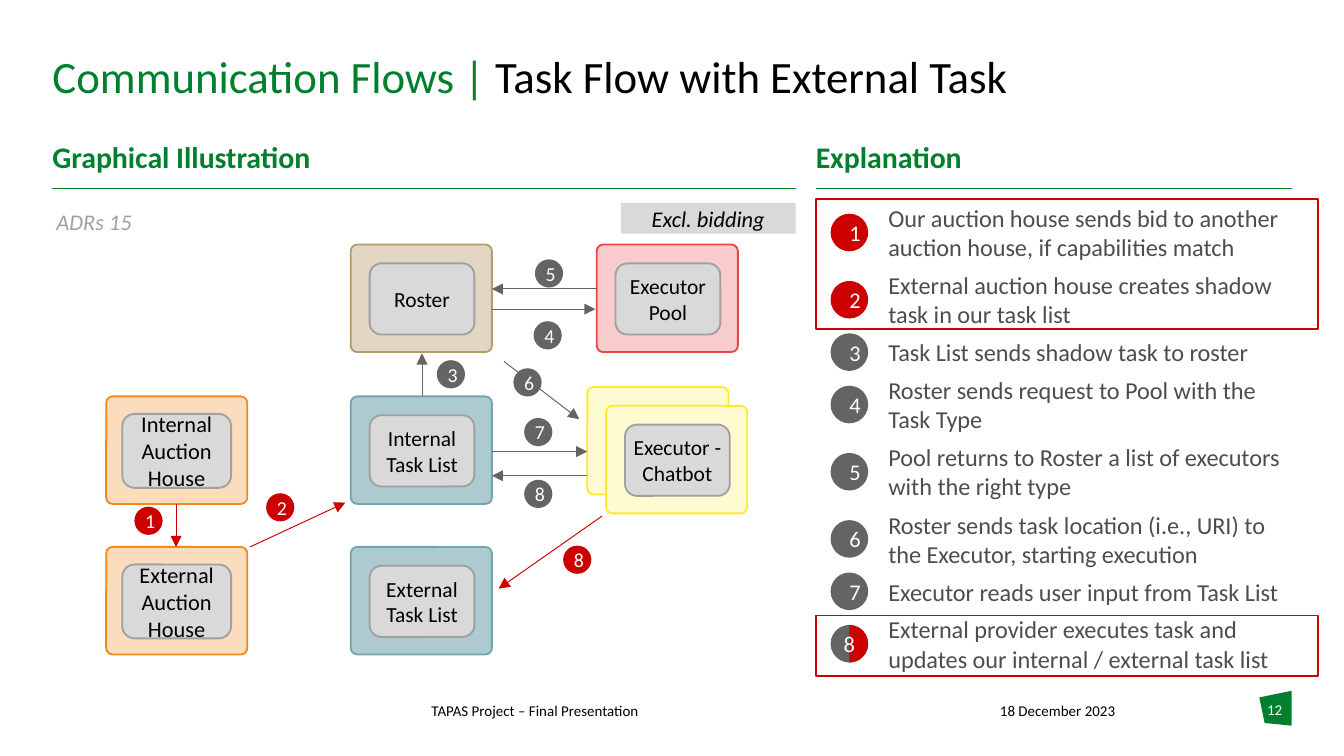
from lxml.etree import SubElement
from pptx import Presentation
from pptx.dml.color import RGBColor
from pptx.enum.shapes import MSO_CONNECTOR, MSO_SHAPE
from pptx.enum.text import MSO_ANCHOR, PP_ALIGN
from pptx.oxml.ns import qn
from pptx.util import Inches, Pt

PX = Inches(1) // 100
COLORS = {
    "green": "00802F", "red": "CC0000", "dark": "646464", "text": "4D4D4D",
    "black": "000000", "white": "FFFFFF", "light": "D9D9D9", "muted": "A0A0A0",
    "orange": "FBDDBD", "orange_edge": "F08A1D", "teal": "ACCAD0", "teal_edge": "73A5AF",
    "sand": "E1D7C3", "sand_edge": "B59C6B", "pink": "F8CCCC", "pink_edge": "E64848",
    "yellow": "FFFBD1", "yellow_edge": "FFEB2D",
}
RGB = {name: RGBColor.from_string(value) for name, value in COLORS.items()}

prs = Presentation()
prs.slide_width = 1000 * PX
prs.slide_height = Inches(5.625)
slide = prs.slides.add_slide(prs.slide_layouts[6])
shapes = slide.shapes


def write(shape, text, size, color, align=PP_ALIGN.CENTER, anchor=MSO_ANCHOR.MIDDLE,
          inset=(0, 0), bold=False, italic=False):
    frame = shape.text_frame
    frame.text = text
    frame.word_wrap = True
    frame.vertical_anchor = anchor
    frame.margin_left = frame.margin_right = inset[0] * PX
    frame.margin_top = frame.margin_bottom = inset[1] * PX
    for paragraph in frame.paragraphs:
        paragraph.alignment = align
        for run in paragraph.runs:
            run.font.name = "Calibri"
            run.font.size = Pt(size)
            run.font.bold = bold
            run.font.italic = italic
            run.font.color.rgb = RGB[color]


def draw(kind, left, top, width, height, fill=None, edge=None):
    shape = shapes.add_shape(kind, left * PX, top * PX, width * PX, height * PX)
    shape.shadow.inherit = False
    if fill:
        shape.fill.solid()
        shape.fill.fore_color.rgb = RGB[fill]
    else:
        shape.fill.background()
    if edge:
        shape.line.color.rgb = RGB[edge]
        shape.line.width = Pt(1)
    else:
        shape.line.fill.background()
    return shape


title = shapes.add_textbox(39 * PX, 41 * PX, 922 * PX, 67 * PX)
write(title, "Communication Flows | ", 24, "green", PP_ALIGN.LEFT, MSO_ANCHOR.TOP)
headline = title.text_frame.paragraphs[0]
headline.line_spacing = 0.9
topic = headline.add_run()
topic.text = "Task Flow with External Task"
topic.font.name = "Calibri"
topic.font.size = Pt(24)
topic.font.color.rgb = RGB["black"]

outline = shapes.build_freeform(937, 519, scale=PX)
outline.add_line_segments([(961, 514), (961, 540), (941, 538)], close=True)
page_badge = outline.convert_to_shape()
page_badge.shadow.inherit = False
page_badge.fill.solid()
page_badge.fill.fore_color.rgb = RGB["green"]
page_badge.line.fill.background()

for text, left, top, width, height, size, color, align, anchor, bold, italic in [
    ("TAPAS Project – Final Presentation", 321, 522, 248, 20, 8, "black",
     PP_ALIGN.LEFT, MSO_ANCHOR.TOP, False, False),
    ("18 December 2023", 744, 522, 129, 20, 8, "black",
     PP_ALIGN.LEFT, MSO_ANCHOR.TOP, False, False),
    ("12", 937, 521, 23, 30, 8, "white", PP_ALIGN.CENTER, MSO_ANCHOR.TOP, False, False),
    ("Graphical Illustration", 39, 90, 552, 53, 16, "green",
     PP_ALIGN.LEFT, MSO_ANCHOR.MIDDLE, True, False),
    ("Explanation", 607, 90, 354, 53, 16, "green",
     PP_ALIGN.LEFT, MSO_ANCHOR.MIDDLE, True, False),
    ("ADRs 15", 42, 154, 161, 21, 12, "muted",
     PP_ALIGN.LEFT, MSO_ANCHOR.MIDDLE, False, True),
]:
    box = shapes.add_textbox(left * PX, top * PX, width * PX, height * PX)
    write(box, text, size, color, align, anchor, bold=bold, italic=italic)

scope_tag = draw(MSO_SHAPE.RECTANGLE, 462, 151, 130, 23, "light")
write(scope_tag, "Excl. bidding", 12, "black", italic=True)

for name, left, top, tint, inner_width, inner_height, size in [
    ("Internal\nTask List", 261, 295, "teal", 78, 53, 11.5),
    ("Internal Auction House", 79, 295, "orange", 81, 55, 12),
    ("External Auction House", 79, 407, "orange", 81, 55, 12),
    ("Roster", 261, 182, "sand", 78, 53, 11.5),
    ("Executor Pool", 444, 182, "pink", 78, 53, 11.5),
    ("External\nTask List", 261, 407, "teal", 78, 53, 11.5),
    ("", 437, 288, "yellow", 78, 53, 11.5),
    ("Executor - Chatbot", 451, 302, "yellow", 78, 53, 11.5),
]:
    service = draw(MSO_SHAPE.ROUNDED_RECTANGLE, left, top, 105, 80, tint, tint + "_edge")
    service.adjustments[0] = 0.06
    if name:
        core = draw(MSO_SHAPE.ROUNDED_RECTANGLE, left + (106 - inner_width) // 2,
                    top + (81 - inner_height) // 2, inner_width, inner_height, "light", "muted")
        write(core, name, size, "black")

for x1, y1, x2, y2, color, is_arrow in [
    (39, 140, 592, 140, "green", False),
    (607, 140, 961, 140, "green", False),
    (131, 375, 131, 407, "red", True),
    (186, 407, 257, 374, "red", True),
    (314, 295, 314, 263, "dark", True),
    (444, 215, 366, 215, "dark", True),
    (366, 230, 443, 230, "dark", True),
    (375, 269, 431, 312, "dark", True),
    (366, 336, 437, 336, "dark", True),
    (437, 354, 366, 354, "dark", True),
    (448, 384, 371, 438, "red", True),
]:
    flow = shapes.add_connector(MSO_CONNECTOR.STRAIGHT, x1 * PX, y1 * PX, x2 * PX, y2 * PX)
    flow.line.color.rgb = RGB[color]
    flow.line.width = Pt(0.5)
    if is_arrow:
        SubElement(flow.line._get_or_add_ln(), qn("a:tailEnd"), type="triangle")
    SubElement(flow._element.spPr, qn("a:effectLst"))

for number, left, top, color in [
    ("1", 100, 377, "red"), ("2", 198, 367, "red"), ("3", 325, 268, "dark"),
    ("4", 397, 239, "dark"), ("5", 398, 193, "dark"), ("6", 382, 274, "dark"),
    ("7", 390, 311, "dark"), ("8", 390, 357, "dark"), ("8", 419, 406, "red"),
]:
    marker = draw(MSO_SHAPE.OVAL, left, top, 21, 21, color)
    write(marker, number, 10.6, "white", inset=(10, 5))

step_top = 151
for number, (explanation, lines, color) in enumerate([
    ("Our auction house sends bid to another auction house, if capabilities match", 2, "red"),
    ("External auction house creates shadow task in our task list", 2, "red"),
    ("Task List sends shadow task to roster", 1, "dark"),
    ("Roster sends request to Pool with the Task Type", 2, "dark"),
    ("Pool returns to Roster a list of executors with the right type", 2, "dark"),
    ("Roster sends task location (i.e., URI) to the Executor, starting execution", 2, "dark"),
    ("Executor reads user input from Task List", 1, "dark"),
    ("External provider executes task and updates our internal / external task list", 2, "dark"),
], 1):
    step_height = 22 * lines
    badge_top = step_top + step_height // 2 - 14
    step = shapes.add_textbox(661 * PX, step_top * PX, 298 * PX, step_height * PX)
    write(step, explanation, 13, "text", PP_ALIGN.LEFT)
    badge = draw(MSO_SHAPE.OVAL, 618, badge_top, 28, 28, color)
    if number < 8:
        write(badge, str(number), 12, "white", inset=(10, 5))
    else:
        red_half = draw(MSO_SHAPE.PIE, 618, badge_top, 28, 28, "red")
        red_half.adjustments[0] = 0
        red_half.adjustments[1] = 108
        red_half.rotation = 270
        digit = shapes.add_textbox(618 * PX, (badge_top + 4) * PX, 28 * PX, 20 * PX)
        write(digit, str(number), 12, "white")
    step_top += step_height + 6

for top, height in [(148, 97), (458, 45)]:
    draw(MSO_SHAPE.RECTANGLE, 607, top, 374, height, edge="red")

prs.save("out.pptx")
